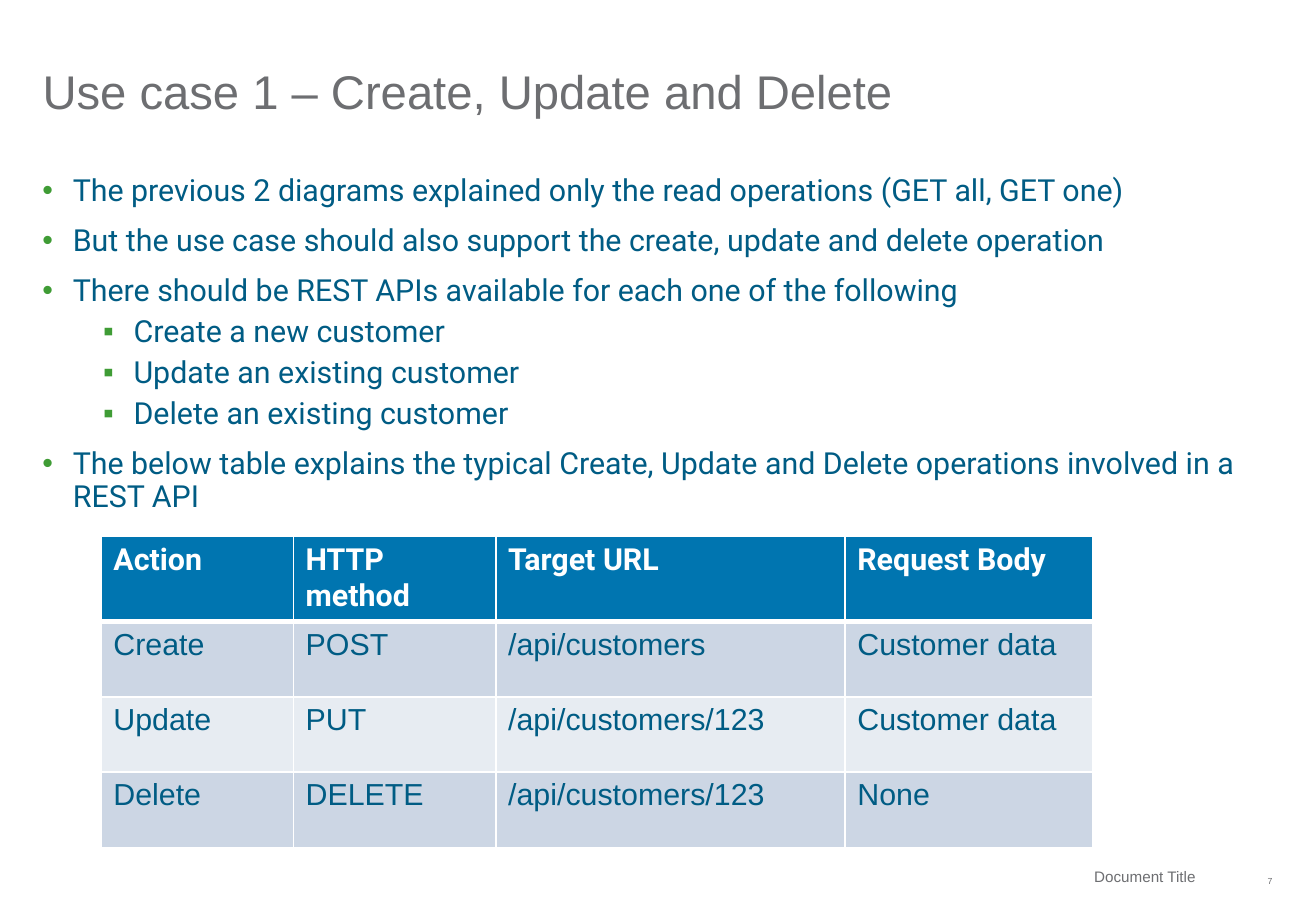
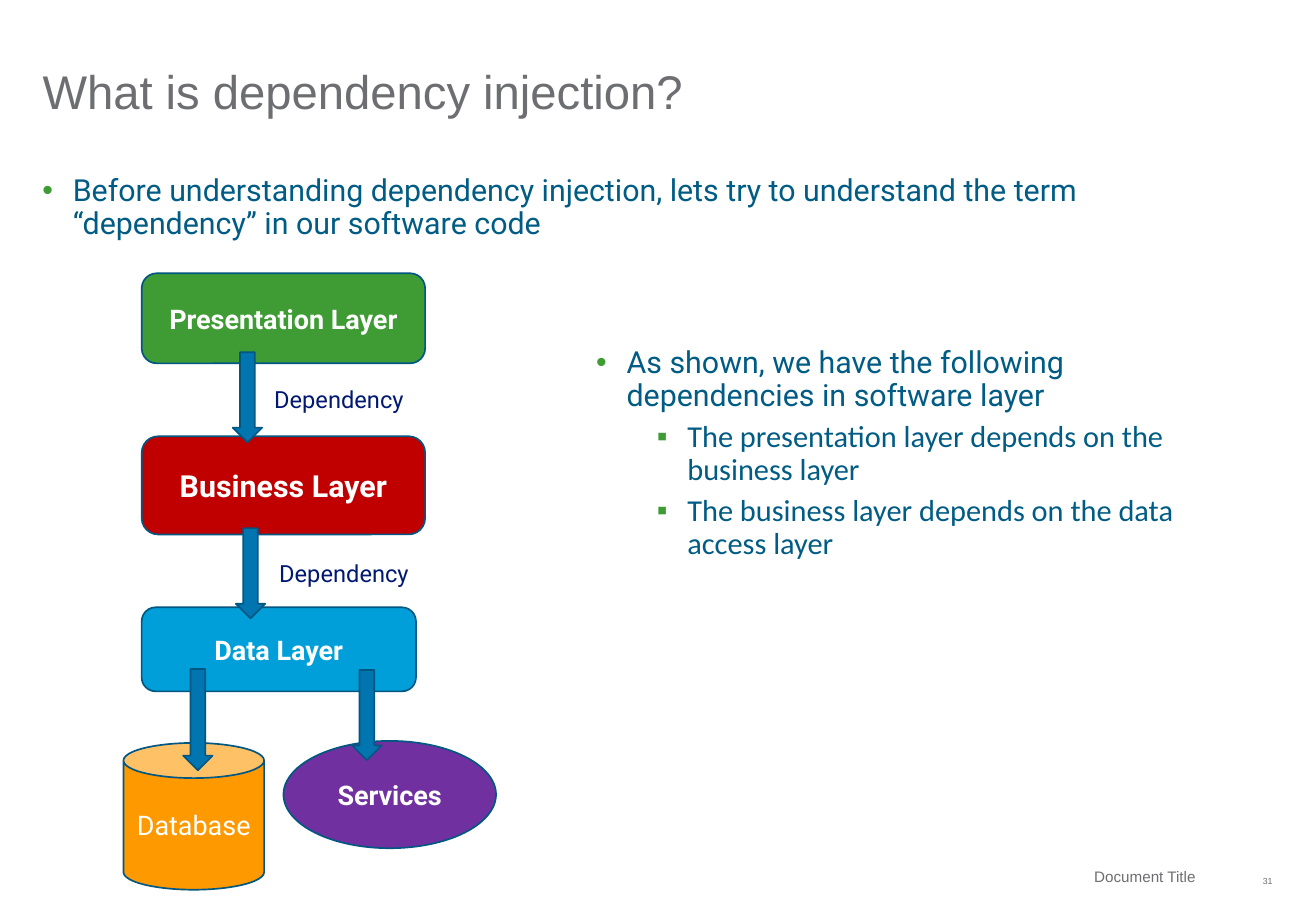
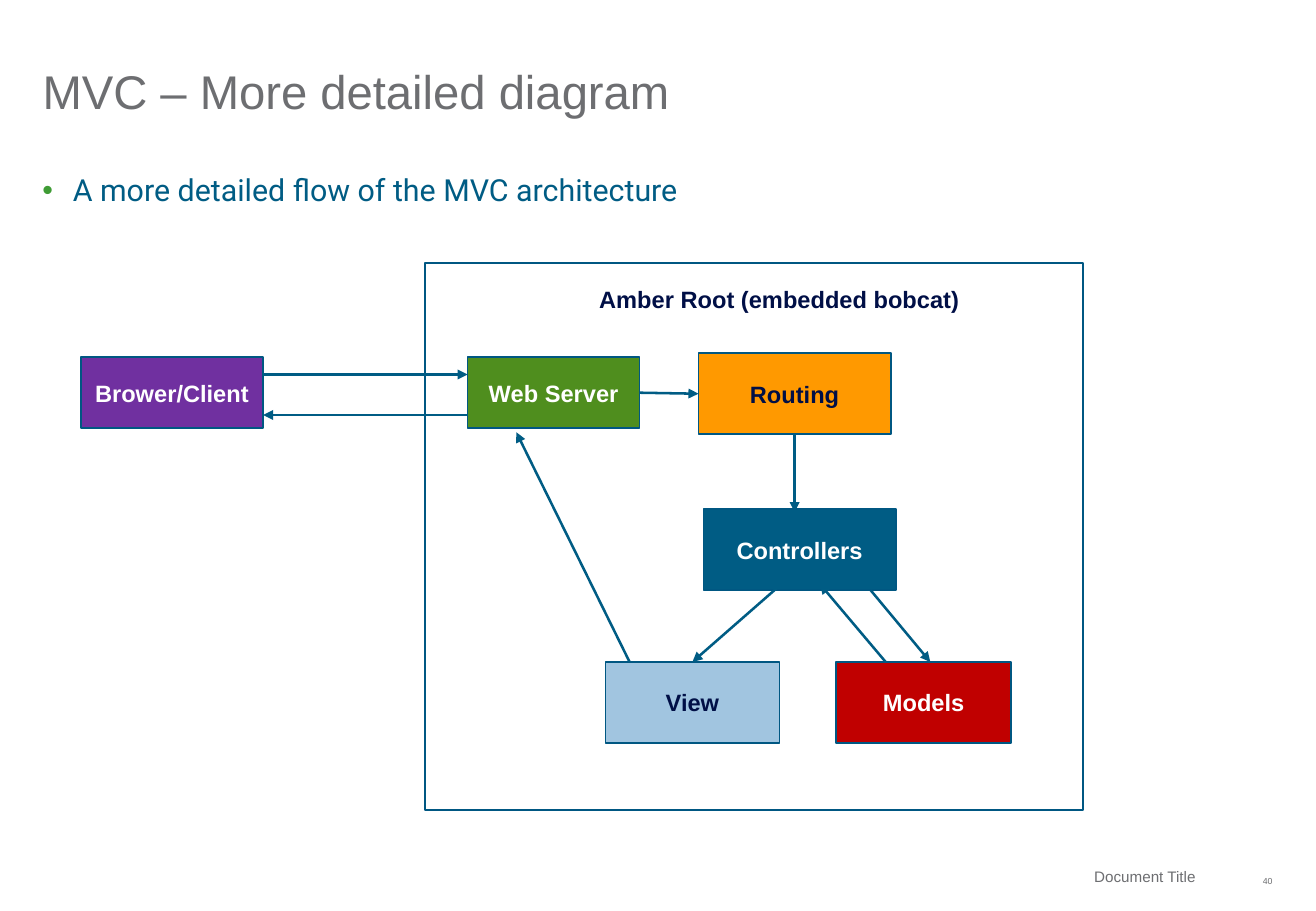
from dataclasses import dataclass

from lxml.etree import SubElement
from pptx import Presentation
from pptx.dml.color import RGBColor
from pptx.enum.shapes import MSO_CONNECTOR as Connector, MSO_SHAPE as Shape
from pptx.enum.text import MSO_ANCHOR as Anchor, PP_ALIGN as Align
from pptx.oxml.ns import qn
from pptx.util import Inches, Pt


@dataclass(frozen=True)
class Theme:
    white: str = "FFFFFF"
    gray: str = "6D6E71"
    text: str = "005C84"
    outline: str = "005782"
    blue: str = "0075B0"
    sky: str = "009FDA"
    pale: str = "A1C5E0"
    green: str = "3F9C35"
    leaf: str = "4F8E1E"
    red: str = "C00000"
    orange: str = "FF9900"
    purple: str = "7030A0"
    navy: str = "001872"
    ink: str = "000F46"
    bands: tuple = ("CCD6E4", "E7ECF2")
    heading: str = "Arial"
    body: str = "Roboto"
    detail: str = "Calibri"
    title_size: float = 28
    body_size: float = 18
    block_size: float = 16
    label_size: float = 14
    footer_size: float = 9
    number_size: float = 5.2


THEME = Theme()
CELLS_PER_INCH = 12
COLUMNS, ROWS = 130, 90

TITLE_BOX = (4.2, 2.5, 121.6, 9.3)
BODY_BOX = (4.2, 17.35, 120.7, 63.6)
SIDE_BOX = (58.9, 34.3, 61.1, 44.7)
FOOTER_BOX = (74.3, 84.9, 45.6, 3.4)
NUMBER_BOX = (121, 85, 4.7, 4)
FOOTER = "Document Title"

BULLETS = (("•", 0.25, 10), ("▪", 0.75, 5))

CRUD_POINTS = [
    (0, "The previous 2 diagrams explained only the read operations (GET all, GET one)"),
    (0, "But the use case should also support the create, update and delete operation"),
    (0, "There should be REST APIs available for each one of the following"),
    (1, "Create a new customer"),
    (1, "Update an existing customer"),
    (1, "Delete an existing customer"),
    (0, "The below table explains the typical Create, Update and Delete operations involved in a REST API"),
]
CRUD_ROWS = [
    ("Action", "HTTP method", "Target URL", "Request Body"),
    ("Create", "POST", "/api/customers", "Customer data"),
    ("Update", "PUT", "/api/customers/123", "Customer data"),
    ("Delete", "DELETE", "/api/customers/123", "None"),
]
TABLE_CORNER = (10, 53)
TABLE_COLUMNS = (19, 20, 34.5, 24.5)
TABLE_ROWS = (8.1, 7.44, 7.44, 7.44)

INJECTION_POINTS = [
    (0, "Before understanding dependency injection, lets try to understand the term "
        "“dependency” in our software code"),
]
LAYER_POINTS = [
    (0, "As shown, we have the following dependencies in software layer"),
    (1, "The presentation layer depends on the business layer"),
    (1, "The business layer depends on the data access layer"),
]
LAYERS = [
    ("Presentation Layer", Shape.ROUNDED_RECTANGLE, (14, 27, 28, 8.9), THEME.green, THEME.block_size, True),
    ("Business Layer", Shape.ROUNDED_RECTANGLE, (14, 43.1, 28, 9.7), THEME.red, THEME.body_size, True),
    ("Data Layer", Shape.ROUNDED_RECTANGLE, (14, 60, 27.1, 8.3), THEME.sky, THEME.block_size, True),
    ("Database", Shape.CAN, (12.2, 73.4, 13.9, 14.5), THEME.orange, THEME.block_size, False),
    ("Services", Shape.OVAL, (28, 73.2, 21, 10.6), THEME.purple, THEME.block_size, True),
]
ARROW_WIDTH = 2.9
LAYER_ARROWS = [(23, 34.8, 8.9), (23.3, 52.2, 8.9), (18.1, 66.1, 10), (34.8, 66.2, 8.9)]
DEPENDENCY_CORNERS = [(25.9, 37.4), (26.4, 54.6)]

MVC_POINTS = [(0, "A more detailed flow of the MVC architecture")]
SERVER_FRAME = (42, 26, 65, 54)
SERVER_LABEL = ("Amber Root (embedded bobcat)", (58, 27.6, 42, 4.1))
MVC_BLOCKS = [
    ("Brower/Client", (8, 35.3, 18, 7), THEME.purple, THEME.white),
    ("Web Server", (46.2, 35.3, 17, 7), THEME.leaf, THEME.white),
    ("Routing", (69, 34.9, 19, 8), THEME.orange, THEME.ink),
    ("Controllers", (69.5, 50.3, 19, 8), THEME.text, THEME.white),
    ("Models", (82.6, 65.4, 17.3, 8), THEME.red, THEME.white),
    ("View", (59.8, 65.4, 17.2, 8), THEME.pale, THEME.ink),
]
MVC_FLOWS = [
    ((26, 37), (46.2, 37)),
    ((46.2, 41), (26, 41)),
    (("Web Server", 3), ("Routing", 1)),
    (("Routing", 2), (78.5, 50.6)),
    ((77.2, 57.7), ("View", 0)),
    ((86, 58.3), (91.9, 65.4)),
    ((87.5, 65.4), (81, 57.7)),
    ((62.2, 65.4), (51, 42.7)),
]


def grid(cells):
    return Inches(cells / CELLS_PER_INCH)


def place(box):
    return [grid(value) for value in box]


def rgb(color):
    return RGBColor.from_string(color)


def style(paragraph, font, size, color, bold=False):
    for run in paragraph.runs:
        run.font.name = font
        run.font.size = Pt(size)
        run.font.color.rgb = rgb(color)
        run.font.bold = bold


def add_text(slide, box, text, font, size, color, bold=False, align=Align.LEFT,
             anchor=Anchor.TOP, margins=None):
    text_frame = slide.shapes.add_textbox(*place(box)).text_frame
    text_frame.word_wrap = True
    text_frame.vertical_anchor = anchor
    if margins is not None:
        set_margins(text_frame, margins)
    text_frame.text = text
    paragraph = text_frame.paragraphs[0]
    paragraph.alignment = align
    style(paragraph, font, size, color, bold)
    return paragraph


def set_margins(text_frame, right=0):
    text_frame.margin_left = text_frame.margin_top = text_frame.margin_bottom = 0
    text_frame.margin_right = Inches(right)


def add_bullets(slide, box, points, detail_font=THEME.body):
    text_frame = slide.shapes.add_textbox(*place(box)).text_frame
    text_frame.word_wrap = True
    set_margins(text_frame)
    for index, (level, text) in enumerate(points):
        paragraph = text_frame.add_paragraph() if index else text_frame.paragraphs[0]
        symbol, indent, space = BULLETS[level]
        paragraph.text = text
        paragraph.level = level
        paragraph.line_spacing = 0.9
        paragraph.space_before = Pt(space)
        style(paragraph, detail_font if level else THEME.body, THEME.body_size, THEME.text)
        properties = paragraph._p.get_or_add_pPr()
        properties.set("marL", str(Inches(indent)))
        properties.set("indent", str(-Inches(0.25)))
        color = SubElement(properties, qn("a:buClr"))
        SubElement(color, qn("a:srgbClr"), val=THEME.green)
        SubElement(properties, qn("a:buFont"), typeface=THEME.heading)
        SubElement(properties, qn("a:buChar"), char=symbol)


def add_block(slide, kind, box, fill=None, text="", font=THEME.body,
              size=THEME.block_size, color=THEME.white, bold=True):
    shape = slide.shapes.add_shape(kind, *place(box))
    shape.shadow.inherit = False
    if fill:
        shape.fill.solid()
        shape.fill.fore_color.rgb = rgb(fill)
    else:
        shape.fill.background()
    shape.line.color.rgb = rgb(THEME.outline)
    shape.line.width = Pt(1)
    if text:
        shape.text_frame.text = text
        shape.text_frame.word_wrap = True
        shape.text_frame.vertical_anchor = Anchor.MIDDLE
        paragraph = shape.text_frame.paragraphs[0]
        paragraph.alignment = Align.CENTER
        style(paragraph, font, size, color, bold)
    return shape


def add_flow(slide, blocks, start, end):
    connector = slide.shapes.add_connector(Connector.STRAIGHT, 0, 0, 0, 0)
    if start[0] in blocks:
        connector.begin_connect(blocks[start[0]], start[1])
    else:
        connector.begin_x, connector.begin_y = place(start)
    if end[0] in blocks:
        connector.end_connect(blocks[end[0]], end[1])
    else:
        connector.end_x, connector.end_y = place(end)
    connector.line.color.rgb = rgb(THEME.text)
    connector.line.width = Pt(1.5)
    SubElement(connector.line._get_or_add_ln(), qn("a:tailEnd"), type="triangle")
    SubElement(connector._element.spPr, qn("a:effectLst"))


def set_borders(cell, widths):
    properties = cell._tc.get_or_add_tcPr()
    for index, (side, width) in enumerate(widths.items()):
        line = SubElement(properties, qn(f"a:ln{side}"), w=str(Pt(width)))
        fill = SubElement(line, qn("a:solidFill"))
        SubElement(fill, qn("a:srgbClr"), val=THEME.white)
        properties.insert(index, line)


def add_crud_table(slide):
    box = (*TABLE_CORNER, sum(TABLE_COLUMNS), sum(TABLE_ROWS))
    table = slide.shapes.add_table(len(TABLE_ROWS), len(TABLE_COLUMNS), *place(box)).table
    for column, width in zip(table.columns, TABLE_COLUMNS):
        column.width = grid(width)
    for row_index, (row, height, texts) in enumerate(zip(table.rows, TABLE_ROWS, CRUD_ROWS)):
        row.height = grid(height)
        header = row_index == 0
        fill = THEME.blue if header else THEME.bands[(row_index - 1) % 2]
        font, color = (THEME.body, THEME.white) if header else (THEME.heading, THEME.text)
        borders = {"L": 1, "R": 1, "T": 3 if row_index == 1 else 1, "B": 3 if header else 1}
        for cell, text in zip(row.cells, texts):
            cell.text_frame.text = text
            style(cell.text_frame.paragraphs[0], font, THEME.body_size, color, header)
            cell.fill.solid()
            cell.fill.fore_color.rgb = rgb(fill)
            set_borders(cell, borders)


def add_layers(slide):
    add_bullets(slide, SIDE_BOX, LAYER_POINTS, THEME.detail)
    for text, kind, box, fill, size, bold in LAYERS:
        add_block(slide, kind, box, fill, text, size=size, bold=bold)
    for left, top, height in LAYER_ARROWS:
        add_block(slide, Shape.DOWN_ARROW, (left, top, ARROW_WIDTH, height), THEME.blue)
    for corner in DEPENDENCY_CORNERS:
        add_text(slide, (*corner, 19.3, 4.1), "Dependency", THEME.body, THEME.label_size, THEME.navy)


def add_mvc(slide):
    add_block(slide, Shape.RECTANGLE, SERVER_FRAME)
    text, box = SERVER_LABEL
    add_text(slide, box, text, THEME.heading, THEME.label_size, THEME.ink, True)
    blocks = {
        name: add_block(slide, Shape.RECTANGLE, box, fill, name, THEME.heading, THEME.label_size, color)
        for name, box, fill, color in MVC_BLOCKS
    }
    for start, end in MVC_FLOWS:
        add_flow(slide, blocks, start, end)


SLIDES = [
    ("Use case 1 – Create, Update and Delete", "7", CRUD_POINTS, add_crud_table),
    ("What is dependency injection?", "31", INJECTION_POINTS, add_layers),
    ("MVC – More detailed diagram", "40", MVC_POINTS, add_mvc),
]


def main():
    presentation = Presentation()
    presentation.slide_width, presentation.slide_height = place((COLUMNS, ROWS))
    for title, number, points, add_content in SLIDES:
        slide = presentation.slides.add_slide(presentation.slide_layouts[6])
        add_text(slide, NUMBER_BOX, number, THEME.heading, THEME.number_size, THEME.gray,
                 align=Align.RIGHT, anchor=Anchor.MIDDLE, margins=0)
        add_text(slide, FOOTER_BOX, FOOTER, THEME.heading, THEME.footer_size, THEME.gray,
                 align=Align.RIGHT, anchor=Anchor.MIDDLE, margins=0.15)
        heading = add_text(slide, TITLE_BOX, title, THEME.heading, THEME.title_size, THEME.gray,
                           anchor=Anchor.BOTTOM, margins=0)
        heading.line_spacing = 0.9
        add_bullets(slide, BODY_BOX, points)
        add_content(slide)
    presentation.save("out.pptx")


if __name__ == "__main__":
    main()
